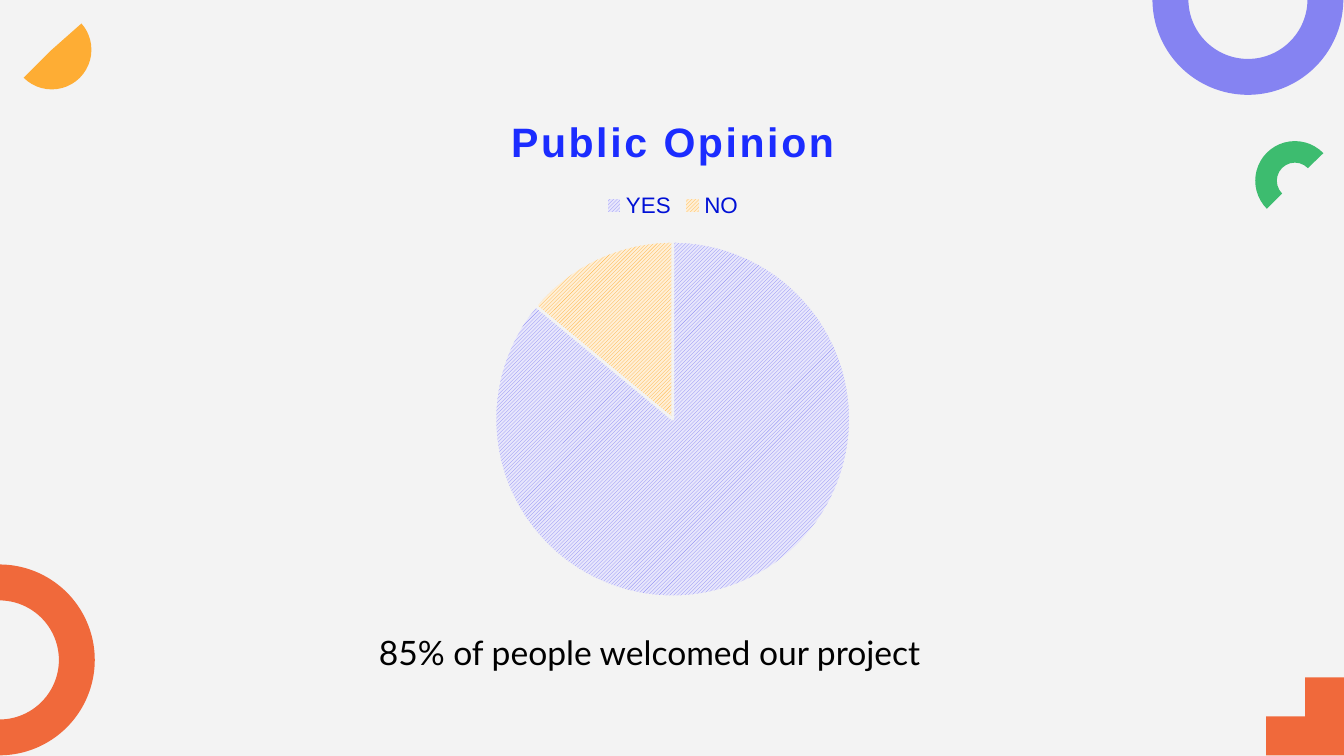
from pptx import Presentation
from pptx.chart.data import CategoryChartData
from pptx.dml.color import RGBColor
from pptx.enum.chart import XL_CHART_TYPE, XL_LEGEND_POSITION
from pptx.enum.dml import MSO_PATTERN
from pptx.enum.shapes import MSO_SHAPE
from pptx.util import Pt

PX = 4572  # 200 px to the inch
WIDTH, HEIGHT = 2000, 1125
BACKGROUND = "F3F3F3"
ORANGE, PURPLE, GREEN, YELLOW = "F0693B", "8583F2", "3DBC6F", "FEAD34"


def color(value):
    return RGBColor.from_string(value)


def px(*lengths):
    return [length * PX for length in lengths]


def style_font(font, size, fill, name, bold=False):
    font.size = Pt(size)
    font.name = name
    font.bold = bold
    font.color.rgb = color(fill)


def add_ornament(page, kind, left, top, size, fill, adjustments, rotation=0, flip=False):
    shape = page.shapes.add_shape(kind, *px(left, top, size, size))
    shape.shadow.inherit = False
    shape.fill.solid()
    shape.fill.fore_color.rgb = color(fill)
    shape.line.fill.background()
    for index, value in enumerate(adjustments):
        shape.adjustments[index] = value
    shape.rotation = rotation
    if flip:
        shape._element.spPr.xfrm.set("flipH", "1")


def add_text(page, text, left, top, width, height, **font_format):
    box = page.shapes.add_textbox(*px(left, top, width, height))
    box.text_frame.word_wrap = True
    span = box.text_frame.paragraphs[0].add_run()
    span.text = text
    style_font(span.font, **font_format)


def add_pie(page, title, slices, left, top, width, height):
    data = CategoryChartData()
    data.categories = [name for name, *_ in slices]
    data.add_series(title, [value for _, value, *_ in slices])
    frame = page.shapes.add_chart(XL_CHART_TYPE.PIE, *px(left, top, width, height), data)
    chart = frame.chart
    style_font(chart.font, 10, "000436", "Arial")

    # Title with wide letter spacing
    chart.has_title = True
    span = chart.chart_title.text_frame.paragraphs[0].add_run()
    span.text = title
    style_font(span.font, 22, "1B2CFF", "Arial", bold=True)
    span.font._element.set("spc", "150")
    chart.chart_title.include_in_layout = False

    # Legend
    chart.has_legend = True
    chart.legend.position = XL_LEGEND_POSITION.TOP
    chart.legend.include_in_layout = False
    style_font(chart.legend.font, 12, "0010D6", "Arial")

    # Hatched slices
    plot = chart.plots[0]
    plot.vary_by_categories = True
    for index, (_, _, front, back) in enumerate(slices):
        look = plot.series[0].points[index].format
        look.fill.patterned()
        look.fill.pattern = MSO_PATTERN.LIGHT_UPWARD_DIAGONAL
        look.fill.fore_color.rgb = color(front)
        look.fill.back_color.rgb = color(back)
        look.line.color.rgb = color(BACKGROUND)
        look.line.width = Pt(1.5)


def main():
    deck = Presentation()
    deck.slide_width, deck.slide_height = px(WIDTH, HEIGHT)
    page = deck.slides.add_slide(deck.slide_layouts[6])
    page.background.fill.solid()
    page.background.fill.fore_color.rgb = color(BACKGROUND)

    # Corner ornaments
    arc = MSO_SHAPE.BLOCK_ARC
    half_ring = (108, 0.006, 0.188)
    add_ornament(page, arc, -143, 840, 284, ORANGE, half_ring, rotation=90, flip=True)
    add_ornament(page, MSO_SHAPE.CORNER, 1884, 1008, 116, ORANGE, (0.5, 0.5), flip=True)
    add_ornament(page, arc, 1715, -143, 284, PURPLE, half_ring, rotation=180)
    add_ornament(page, arc, 1868, 210, 118, GREEN, (108, 0.54, 0.272), rotation=315)
    add_ornament(page, MSO_SHAPE.PIE, 18, 15, 118, YELLOW, (56.115, 162), rotation=225)

    # Opinion chart and its conclusion
    slices = [("YES", 86, PURPLE, "E7E6FC"), ("NO", 14, YELLOW, "FFEFD6")]
    add_pie(page, "Public Opinion", slices, 454, 136, 1094, 780)
    add_text(page, "85% of people welcomed our project", 544, 930, 910, 80,
             size=18, fill="000000", name="Lato")

    deck.save("out.pptx")


if __name__ == "__main__":
    main()
